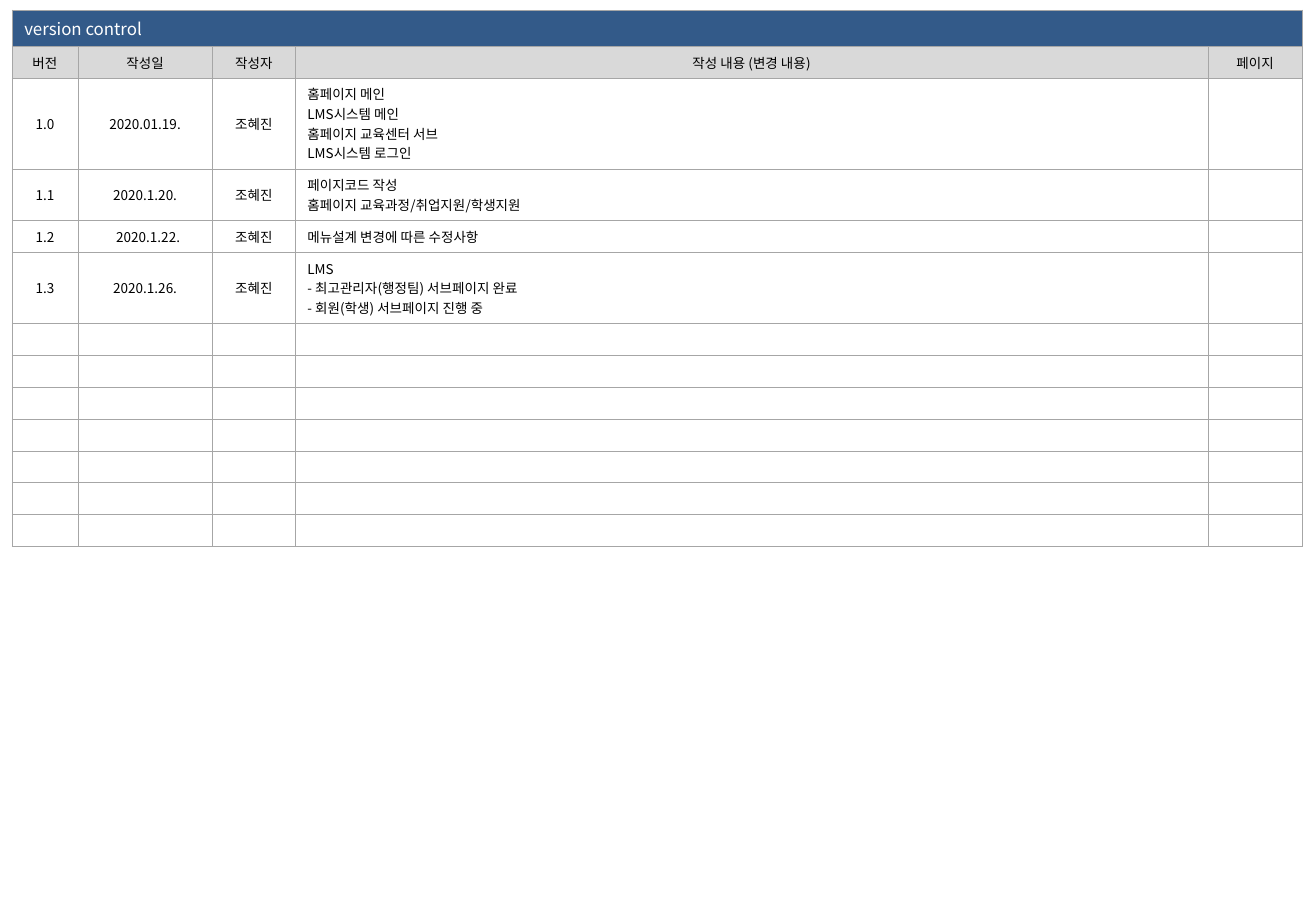
from lxml import etree
from pptx import Presentation
from pptx.dml.color import RGBColor
from pptx.enum.text import MSO_ANCHOR, PP_ALIGN
from pptx.oxml.ns import qn
from pptx.util import Inches, Pt

CENTER, LEFT = PP_ALIGN.CENTER, PP_ALIGN.LEFT
MIDDLE, TOP = MSO_ANCHOR.MIDDLE, MSO_ANCHOR.TOP
FONT = "Noto Sans CJK KR"
COLORS = {"title": "335A89", "head": "D9D9D9", "body": "FFFFFF",
          "line": "A6A6A6", "light": "FFFFFF", "dark": "000000"}

WIDTHS = [0.54, 1.11, 0.68, 7.51, 0.78]
NOTES = 3  # column of the change notes
HEAD = ["버전", "작성일", "작성자", "작성 내용 (변경 내용)", "페이지"]
LOG = [
    ["1.0", "2020.01.19.", "조혜진",
     "홈페이지 메인\nLMS시스템 메인\n홈페이지 교육센터 서브\nLMS시스템 로그인", ""],
    ["1.1", "2020.1.20.", "조혜진",
     "페이지코드 작성\n홈페이지 교육과정/취업지원/학생지원", ""],
    ["1.2", "2020.1.22.", "조혜진", "메뉴설계 변경에 따른 수정사항", ""],
    ["1.3", "2020.1.26.", "조혜진",
     "LMS\n- 최고관리자(행정팀) 서브페이지 완료\n- 회원(학생) 서브페이지 진행 중", ""],
]
BLANK = [[""] * 5 for _ in range(7)]


def style(cell, text, size, ink, fill, align, anchor):
    # Borders go in before the fill
    props = cell._tc.get_or_add_tcPr()
    for side in ("lnL", "lnR", "lnT", "lnB"):
        line = etree.SubElement(props, qn(f"a:{side}"), w=str(Pt(0.25)))
        solid = etree.SubElement(line, qn("a:solidFill"))
        etree.SubElement(solid, qn("a:srgbClr"), val=COLORS["line"])
    cell.fill.solid()
    cell.fill.fore_color.rgb = RGBColor.from_string(COLORS[fill])
    cell.vertical_anchor = anchor
    cell.text = text
    for para in cell.text_frame.paragraphs:
        para.alignment = align
        para.font.size = Pt(size)
        para.font.name = FONT
        para.font.color.rgb = RGBColor.from_string(COLORS[ink])
        base = para._p.pPr.find(qn("a:defRPr"))
        etree.SubElement(base, qn("a:ea"), typeface=FONT)
        if not text:  # keeps empty rows low
            etree.SubElement(para._p, qn("a:endParaRPr"), sz=str(size * 100))


prs = Presentation()
prs.slide_width, prs.slide_height = Inches(10.83), Inches(7.5)
slide = prs.slides.add_slide(prs.slide_layouts[6])

# Table grid
rows = [HEAD] + LOG + BLANK
frame = slide.shapes.add_table(len(rows) + 1, len(WIDTHS), Inches(0.1),
                               Inches(0.08), Inches(10.62), Inches(3.87))
table = frame.table
table.first_row = table.horz_banding = False
for col, width in zip(table.columns, WIDTHS):
    col.width = Inches(width)

# Title row
table.rows[0].height = Inches(0.29)
for cell in table.rows[0].cells:
    style(cell, "", 10, "light", "title", LEFT, TOP)
table.cell(0, 0).merge(table.cell(0, 4))
title = table.cell(0, 0).text_frame.paragraphs[0]
for end in title._p.findall(qn("a:endParaRPr")):
    title._p.remove(end)
title.add_run().text = "version control"

# Header, log and blank rows
for r, row in enumerate(rows, 1):
    count = row[NOTES].count("\n") + 1
    table.rows[r].height = Inches(0.1 + 0.16 * count)
    for c, text in enumerate(row):
        head = r == 1
        align = LEFT if c == NOTES and not head else CENTER
        style(table.cell(r, c), text, 8, "dark", "head" if head else "body",
              align, TOP if head else MIDDLE)

# The 1.2 date sits slightly right of centre
table.cell(4, 1).margin_left = Inches(0.15)

prs.save("out.pptx")
